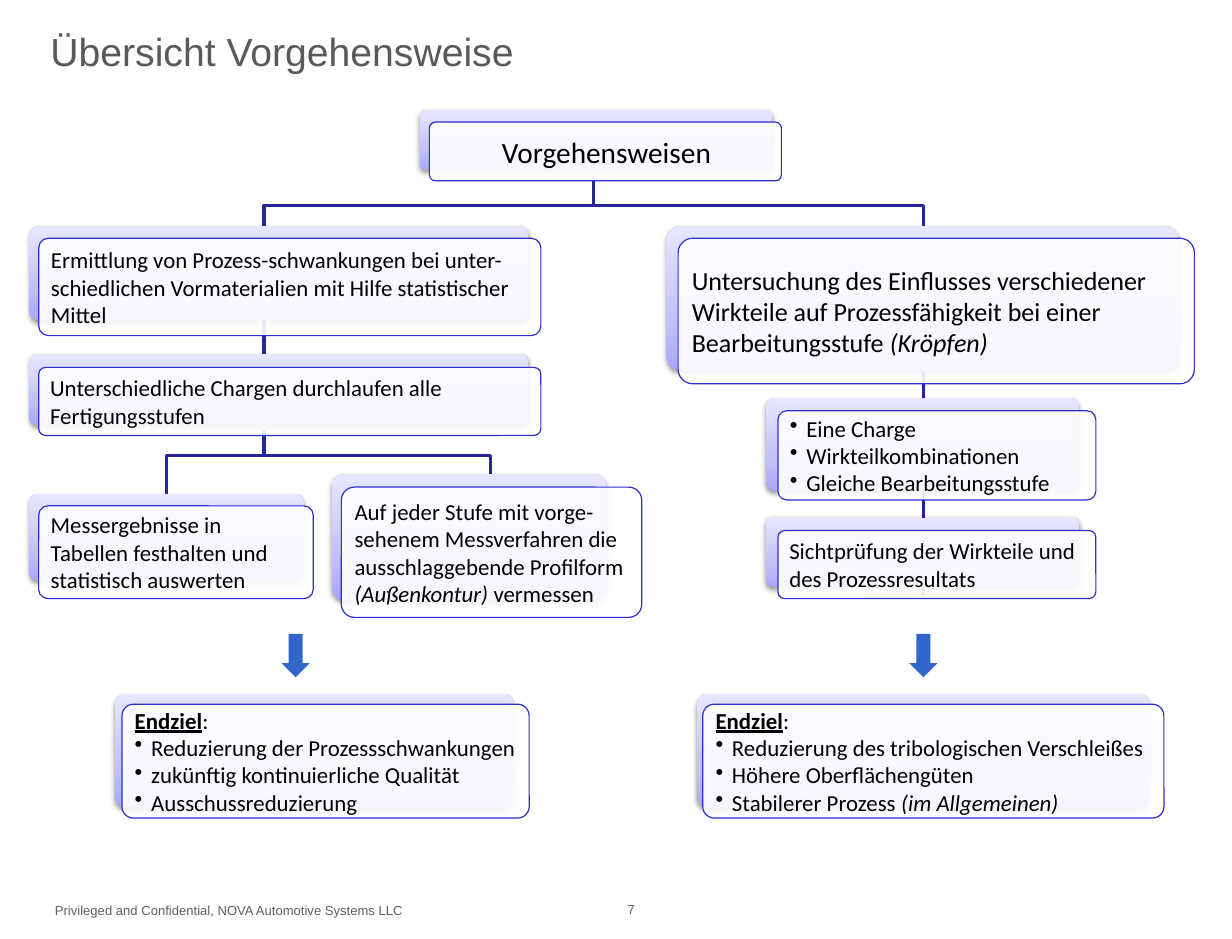
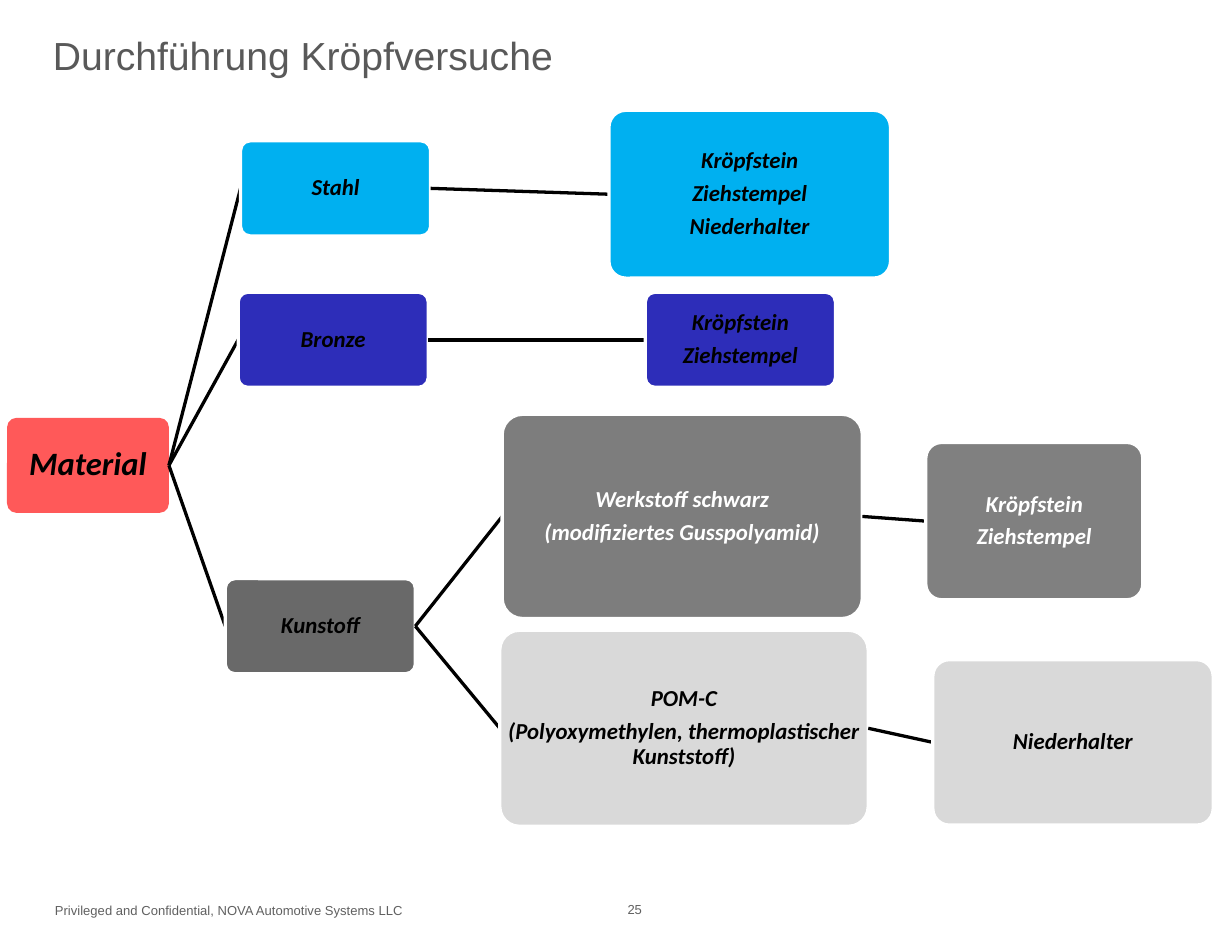
from lxml import etree
from pptx import Presentation
from pptx.dml.color import RGBColor
from pptx.enum.shapes import MSO_CONNECTOR as Connector, MSO_SHAPE as Shape
from pptx.enum.text import MSO_ANCHOR as Anchor, PP_ALIGN as Align
from pptx.oxml import parse_xml
from pptx.oxml.ns import nsdecls, qn
from pptx.util import Inches, Pt

PX = Inches(1) // 100
rgb = RGBColor.from_string

BLACK, WHITE = "000000", "FFFFFF"
TITLE_GREY, FOOTER_GREY = "595959", "606060"
TREE_BLUE, CARD_BLUE, ARROW_BLUE = "262699", "2E2ECB", "3366CC"
CYAN, BRONZE_BLUE, RED = "00B0F0", "2D2DB9", "FF0000"
DARK_GREY, MID_GREY, LIGHT_GREY = "404040", "808080", "D9D9D9"
FOOTER = "Privileged and Confidential, NOVA Automotive Systems LLC"

CARD_GRADIENT = f"""<a:gradFill {nsdecls("a")} rotWithShape="1"><a:gsLst>
<a:gs pos="0"><a:srgbClr val="A7A7FF"/></a:gs>
<a:gs pos="35000"><a:srgbClr val="C1C1FF"/></a:gs>
<a:gs pos="100000"><a:srgbClr val="E7E7FF"/></a:gs>
</a:gsLst><a:lin ang="16200000" scaled="1"/></a:gradFill>"""
CARD_SHADOW = f"""<a:outerShdw {nsdecls("a")} blurRad="40000" dist="20000" dir="5400000"
rotWithShape="0"><a:srgbClr val="000000"><a:alpha val="38000"/></a:srgbClr></a:outerShdw>"""


def add_box(slide, kind, box, fill, alpha=100):
    """Add a preset shape without line or shadow; alpha is the opacity in percent."""
    shape = slide.shapes.add_shape(kind, *(PX * value for value in box))
    shape.shadow.inherit = False
    shape.fill.solid()
    shape.fill.fore_color.rgb = rgb(fill)
    shape.line.fill.background()
    if kind == Shape.ROUNDED_RECTANGLE:
        shape.adjustments[0] = 0.1
    if alpha < 100:
        fill_color = shape._element.spPr.find(".//" + qn("a:srgbClr"))
        etree.SubElement(fill_color, qn("a:alpha"), val=str(alpha * 1000))
    return shape


def write(shape, texts, size, color, margins, font="Calibri", align=Align.LEFT,
          anchor=Anchor.MIDDLE):
    """Write one paragraph per text; "|" parts runs, and runs in brackets are italic."""
    frame = shape.text_frame
    frame.word_wrap = True
    frame.vertical_anchor = anchor
    (frame.margin_left, frame.margin_top,
     frame.margin_right, frame.margin_bottom) = (PX * value for value in margins)
    for index, text in enumerate(texts):
        paragraph = frame.paragraphs[0] if index == 0 else frame.add_paragraph()
        paragraph.alignment = align
        if text.startswith("• "):
            properties = paragraph._p.get_or_add_pPr()
            properties.set("marL", str(14 * PX))
            properties.set("indent", str(-14 * PX))
            etree.SubElement(properties, qn("a:buChar"), char="•")
        for part in text.removeprefix("• ").split("|"):
            run = paragraph.add_run()
            run.text = part
            run.font.name = font
            run.font.size = Pt(size)
            run.font.color.rgb = rgb(color)
            run.font.italic = part.startswith("(")
            run.font.bold = run.font.underline = part == "Endziel"


presentation = Presentation()
presentation.slide_width = 1050 * PX
presentation.slide_height = 800 * PX

# Titles and footers
slides = []
for title_text, title_box, number in [
    ("Übersicht Vorgehensweise", (32, 0, 848, 87), "7"),
    ("Durchführung Kröpfversuche", (34, 0, 848, 93), "25"),
]:
    slide = presentation.slides.add_slide(presentation.slide_layouts[5])
    slides.append(slide)
    title = slide.shapes.title
    title.left, title.top, title.width, title.height = (PX * value for value in title_box)
    write(title, [title_text], 24, TITLE_GREY, (11, 5, 11, 5), "Arial")
    for text, box in [(FOOTER, (37, 764, 430, 25)), (number, (525, 763, 50, 26))]:
        footer = slide.shapes.add_textbox(*(PX * value for value in box))
        write(footer, [text], 8, FOOTER_GREY, (10, 5, 10, 5), "Arial", anchor=Anchor.TOP)

overview, trials = slides

# Overview: tree lines behind the cards
for x, top, bottom in [(787, 196, 508), (225, 196, 356)]:
    line = overview.shapes.add_connector(
        Connector.STRAIGHT, x * PX, top * PX, x * PX, bottom * PX)
    line.line.color.rgb = rgb(TREE_BLUE)
    line.line.width = Pt(2)
    etree.SubElement(line._element.spPr, qn("a:effectLst"))

for start_x, top, bend, end_x, bottom in [
    (225, 366, 388, 418, 409),
    (225, 366, 388, 142, 448),
    (506, 152, 175, 787, 196),
    (506, 152, 175, 225, 196),
]:
    builder = overview.shapes.build_freeform(start_x, top, scale=PX)
    builder.add_line_segments(
        [(start_x, bend), (end_x, bend), (end_x, bottom)], close=False)
    branch = builder.convert_to_shape()
    branch.shadow.inherit = False
    branch.fill.background()
    branch.line.color.rgb = rgb(TREE_BLUE)
    branch.line.width = Pt(2)

# Overview: cards, each a white panel over a shaded one
cards = [
    ((358, 94, 300, 51), (366, 104, 300, 50), 18, ["Vorgehensweisen"]),
    ((25, 193, 425, 80), (33, 203, 428, 83), 14,
     ["Ermittlung von Prozess-schwankungen bei unter-schiedlichen Vormaterialien "
      "mit Hilfe statistischer Mittel"]),
    ((568, 193, 437, 123), (578, 203, 440, 124), 16,
     ["Untersuchung des Einflusses verschiedener Wirkteile auf Prozessfähigkeit "
      "bei einer Bearbeitungsstufe |(Kröpfen)"]),
    ((25, 302, 425, 60), (33, 313, 428, 58), 14,
     ["Unterschiedliche Chargen durchlaufen alle Fertigungsstufen"]),
    ((25, 421, 234, 74), (33, 431, 234, 79), 14,
     ["Messergebnisse in Tabellen festhalten und statistisch auswerten"]),
    ((283, 404, 234, 107), (291, 415, 256, 111), 14,
     ["Auf jeder Stufe mit vorge-sehenem Messverfahren die ausschlaggebende "
      "Profilform |(Außenkontur) |vermessen"]),
    ((98, 591, 340, 97), (104, 600, 347, 97), 14,
     ["Endziel|:", "• Reduzierung der Prozessschwankungen",
      "• zukünftig kontinuierliche Qualität", "• Ausschussreduzierung"]),
    ((653, 339, 267, 79), (663, 350, 271, 76), 14,
     ["• Eine Charge", "• Wirkteilkombinationen", "• Gleiche Bearbeitungsstufe"]),
    ((653, 441, 267, 59), (663, 452, 271, 58), 14,
     ["Sichtprüfung der Wirkteile und des Prozessresultats"]),
    ((594, 591, 386, 97), (599, 600, 393, 97), 14,
     ["Endziel|:", "• Reduzierung des tribologischen Verschleißes",
      "• Höhere Oberflächengüten", "• Stabilerer Prozess |(im Allgemeinen)"]),
]
for back_box, front_box, size, texts in cards:
    back = add_box(overview, Shape.ROUNDED_RECTANGLE, back_box, CARD_BLUE)
    properties = back._element.spPr
    properties.replace(properties.find(qn("a:solidFill")), parse_xml(CARD_GRADIENT))
    properties.find(qn("a:effectLst")).append(parse_xml(CARD_SHADOW))

    front = add_box(overview, Shape.ROUNDED_RECTANGLE, front_box, WHITE, 90)
    front.line.color.rgb = rgb(CARD_BLUE)
    front.line.width = Pt(0.75)
    write(front, texts, size, BLACK, (8, 6, 6, 6),
          align=Align.CENTER if size == 18 else Align.LEFT)

for left in (240, 775):
    add_box(overview, Shape.DOWN_ARROW, (left, 540, 24, 37), ARROW_BLUE)

# Trials: material tree; each node names its parent by key
nodes = [
    ("material", None, (6, 356, 138, 81), RED, 65, BLACK, ["Material"]),
    ("steel", "material", (205, 120, 162, 81), CYAN, 100, BLACK, ["Stahl"]),
    ("steel parts", "steel", (519, 94, 240, 143), CYAN, 100, BLACK,
     ["Kröpfstein", "Ziehstempel", "Niederhalter"]),
    ("bronze", "material", (203, 249, 162, 81), BRONZE_BLUE, 100, BLACK, ["Bronze"]),
    ("bronze parts", "bronze", (550, 249, 162, 81), BRONZE_BLUE, 100, BLACK,
     ["Kröpfstein", "Ziehstempel"]),
    ("plastic", "material", (192, 493, 162, 81), DARK_GREY, 78, BLACK, ["Kunstoff"]),
    ("polyamide", "plastic", (428, 353, 307, 174), BLACK, 51, WHITE,
     ["Werkstoff schwarz", "(modifiziertes Gusspolyamid)"]),
    ("polyamide parts", "polyamide", (789, 377, 185, 134), MID_GREY, 100, WHITE,
     ["Kröpfstein", "Ziehstempel"]),
    ("pom", "plastic", (426, 537, 314, 167), LIGHT_GREY, 100, BLACK,
     ["POM-C", "(Polyoxymethylen, thermoplastischer Kunststoff)"]),
    ("pom parts", "pom", (795, 562, 239, 141), LIGHT_GREY, 100, BLACK, ["Niederhalter"]),
]
boxes = {}
for key, parent, box, fill, alpha, color, texts in nodes:
    node = boxes[key] = add_box(trials, Shape.ROUNDED_RECTANGLE, box, fill, alpha)
    write(node, texts, 14 if parent else 20, color, (1, 1, 1, 1), align=Align.CENTER)
    for paragraph in node.text_frame.paragraphs:
        paragraph.line_spacing = 0.9
        paragraph.space_after = Pt(5)
        for run in paragraph.runs:
            run.font.bold = run.font.italic = True
    if parent:
        node.line.color.rgb = rgb(WHITE)
        node.line.width = Pt(2)
        link = trials.shapes.add_connector(Connector.STRAIGHT, 0, 0, 0, 0)
        link.begin_connect(boxes[parent], 3)
        link.end_connect(node, 1)
        link.line.color.rgb = rgb(BLACK)
        link.line.width = Pt(2.25 if parent == "bronze" else 2)
        etree.SubElement(link._element.spPr, qn("a:effectLst"))
        node._element.addprevious(link._element)

presentation.save("out.pptx")
